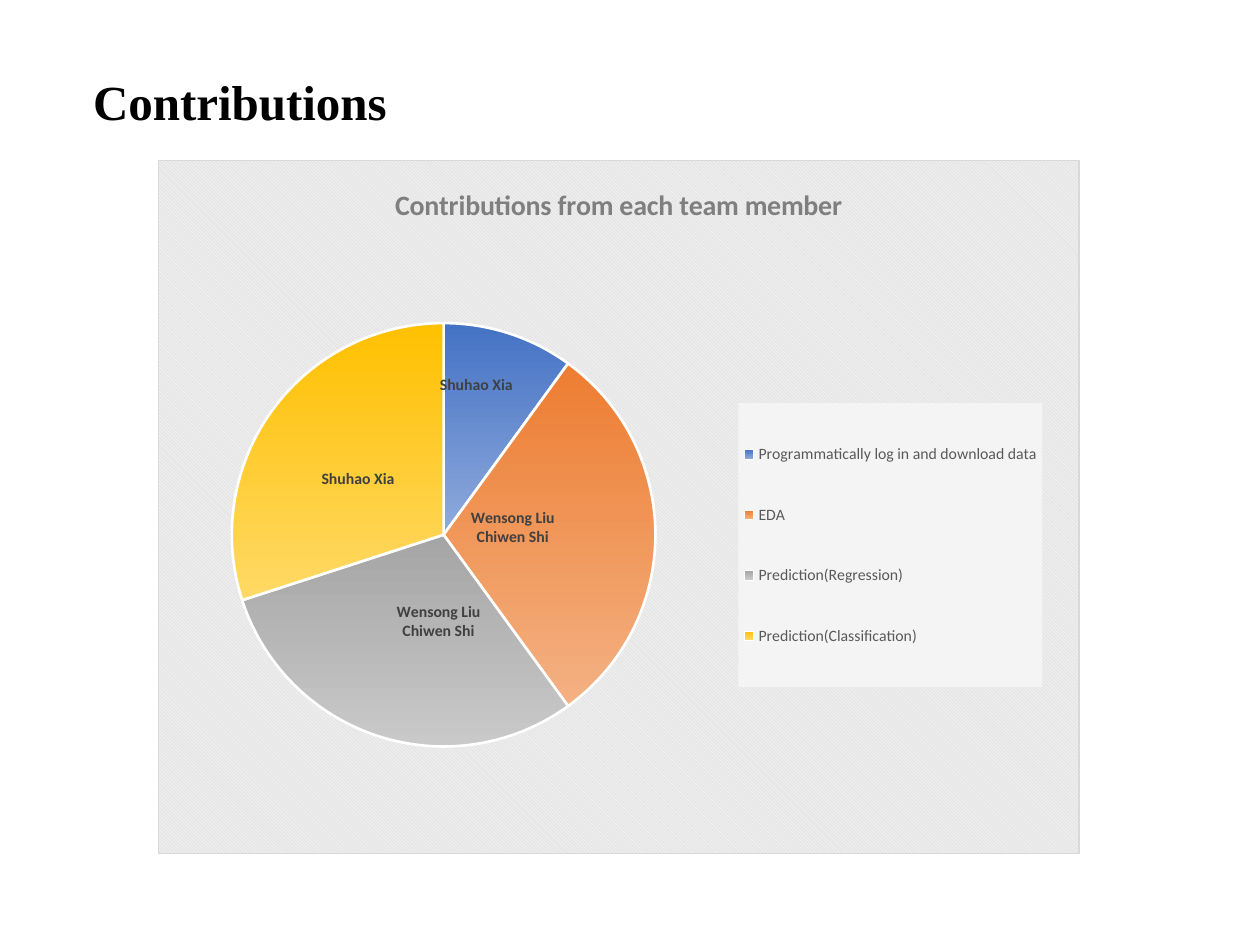
from lxml.etree import SubElement as Sub
from pptx import Presentation
from pptx.chart.data import CategoryChartData as Data
from pptx.dml.color import RGBColor as RGB
from pptx.enum.chart import XL_CHART_TYPE as Kind, XL_LABEL_POSITION as Spot
from pptx.enum.chart import XL_LEGEND_POSITION as Side
from pptx.oxml import parse_xml
from pptx.oxml.ns import nsdecls, qn
from pptx.util import Inches, Pt

HUES = {"ink": "000000", "title": "7F7F7F", "key": "595959", "label": "404040",
        "white": "FFFFFF", "hatch": "E6E6E6", "edge": "D9D9D9", "panel": "F4F4F4"}
CHIWEN = ["Wensong Liu", "Chiwen Shi"]
SHUHAO = ["Shuhao Xia"]
TASKS = [
    ("Programmatically log in and download data", 0.1, "4472C4", "8FAADC", SHUHAO, (0, -0.07)),
    ("EDA", 0.3, "ED7D31", "F4B183", CHIWEN, (-0.04, -0.01)),
    ("Prediction(Regression)", 0.3, "A5A5A5", "C9C9C9", CHIWEN, (0.03, -0.02)),
    ("Prediction(Classification)", 0.3, "FFC000", "FFD966", SHUHAO, (0, 0.01)),
]


def style(font, face, size, hue, bold=False):
    """Set the face, size, colour and weight of a font."""
    font.name, font.size, font.bold = face, Pt(size), bold
    font.color.rgb = RGB.from_string(hue)


def layout(node, spot, **vals):
    """Put a manual layout at the given child index of a chart node."""
    for old in node.findall(qn("c:layout")):
        node.remove(old)
    outer = parse_xml(f"<c:layout {nsdecls('c')}/>")
    inner = Sub(outer, qn("c:manualLayout"))
    for name, val in vals.items():
        Sub(inner, qn(f"c:{name}")).set("val", str(val))
    node.insert(spot, outer)


def paint(node, fill, line):
    """Add shape properties with the given fill and line after a chart node."""
    node.addnext(parse_xml(f"<c:spPr {nsdecls('c', 'a')}>{fill}{line}</c:spPr>"))


def solid(hue):
    """Return the XML of a solid fill."""
    return f'<a:solidFill><a:srgbClr val="{hue}"/></a:solidFill>'


def heading(slide, box):
    """Place the slide heading in its box."""
    frame = slide.shapes.add_textbox(*map(Inches, box)).text_frame
    frame.word_wrap = True
    run = frame.paragraphs[0].add_run()
    run.text = "Contributions"
    style(run.font, "Times New Roman", 28, HUES["ink"], True)


def slices(series):
    """Colour each slice and label it with its team members."""
    for i, (_, _, top, low, names, (dx, dy)) in enumerate(TASKS):
        point = series.points[i]
        fill = point.format.fill
        fill.gradient()
        fill.gradient_angle = 270
        for stop, hue, pos in zip(fill.gradient_stops, (top, low), (0, 1)):
            stop.color.rgb = RGB.from_string(hue)
            stop.position = pos
        line = point.format.line
        line.width = Pt(1.5)
        line.color.rgb = RGB.from_string(HUES["white"])
        label = point.data_label
        frame = label.text_frame
        for n, name in enumerate(names):
            para = frame.add_paragraph() if n else frame.paragraphs[0]
            run = para.add_run()
            run.text = name
            style(run.font, "Calibri", 9, HUES["label"], True)
        label.position = Spot.CENTER
        node = series._element.find(qn("c:dLbls")).findall(qn("c:dLbl"))[i]
        layout(node, 1, x=dx, y=dy)


def legend(chart):
    """Place the legend panel on the right of the chart."""
    chart.has_legend = True
    key = chart.legend
    key.position = Side.RIGHT
    key.include_in_layout = False
    style(key.font, "Calibri", 9, HUES["key"])
    node = key._element
    layout(node, 1, xMode="edge", yMode="edge", x=0.63, y=0.35, w=0.33, h=0.41)
    paint(node.find(qn("c:overlay")), solid(HUES["panel"]), "<a:ln><a:noFill/></a:ln>")


def pie(slide, box):
    """Place the pie chart of contributions in its box."""
    data = Data(number_format="0%")
    data.categories = [task[0] for task in TASKS]
    data.add_series("Series 1", [task[1] for task in TASKS])
    chart = slide.shapes.add_chart(Kind.PIE, *map(Inches, box), data).chart
    style(chart.font, "Calibri", 10, HUES["ink"])
    chart.has_title = True
    run = chart.chart_title.text_frame.paragraphs[0].add_run()
    run.text = "Contributions from each team member"
    style(run.font, "Calibri", 16, HUES["title"], True)
    chart.plots[0].vary_by_categories = True
    labels = chart.plots[0].series[0].data_labels
    labels.show_value = True
    labels.number_format = "0%"
    labels.number_format_is_linked = False
    style(labels.font, "Calibri", 9, HUES["label"], True)
    slices(chart.plots[0].series[0])
    legend(chart)
    root = chart._chartSpace.find(qn("c:chart"))
    layout(root.find(qn("c:plotArea")), 0, layoutTarget="inner", xMode="edge",
           yMode="edge", x=0.08, y=0.23, w=0.46, h=0.62)
    hatch = (f'<a:pattFill prst="dkDnDiag"><a:fgClr><a:srgbClr val="{HUES["white"]}"/></a:fgClr>'
             f'<a:bgClr><a:srgbClr val="{HUES["hatch"]}"/></a:bgClr></a:pattFill>')
    paint(root, hatch, f'<a:ln w="{Pt(0.75)}">{solid(HUES["edge"])}</a:ln>')


def main():
    """Build the slide and save it."""
    deck = Presentation()
    deck.slide_width, deck.slide_height = Inches(10), Inches(7.5)
    slide = deck.slides.add_slide(deck.slide_layouts[6])
    pie(slide, (1.25, 1.27, 7.32, 5.51))
    heading(slide, (0.64, 0.52, 8.02, 0.57))
    deck.save("out.pptx")


if __name__ == "__main__":
    main()
